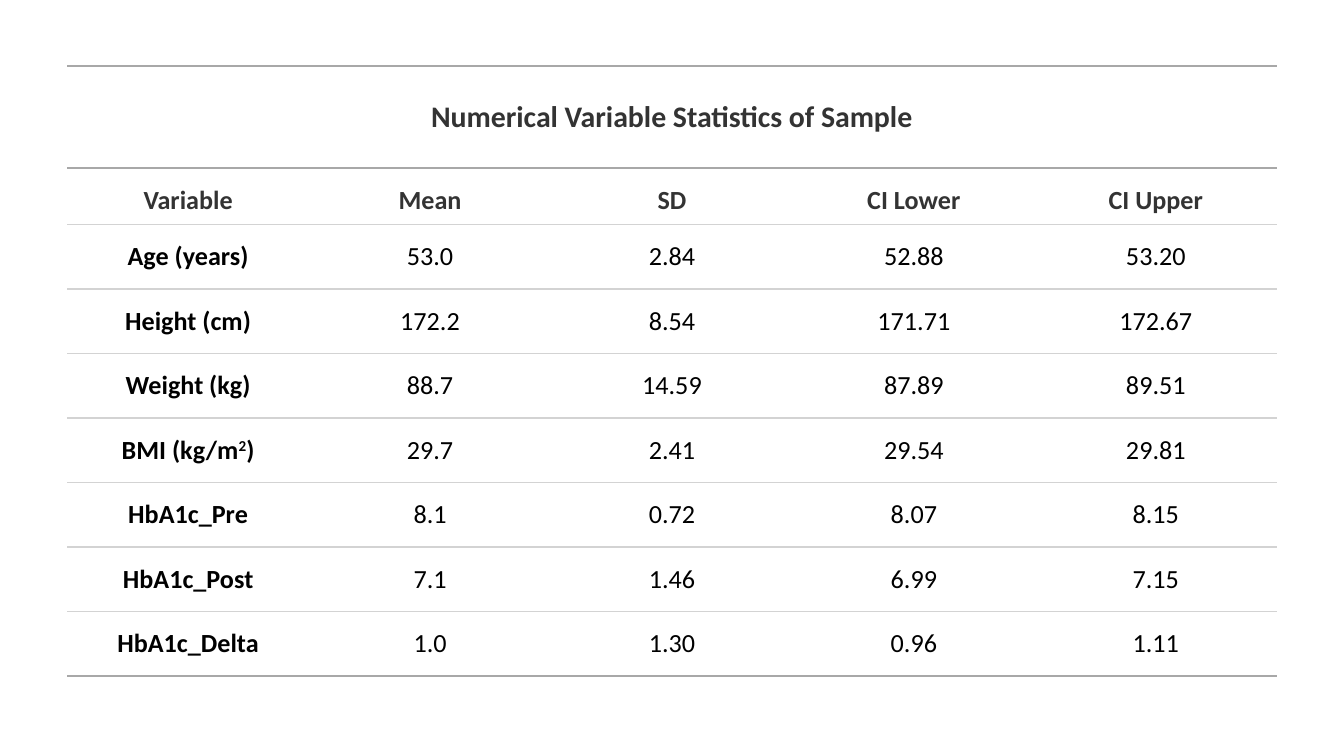
from lxml.etree import SubElement
from pptx import Presentation
from pptx.dml.color import RGBColor
from pptx.enum.text import MSO_ANCHOR, PP_ALIGN
from pptx.oxml.ns import qn
from pptx.util import Inches, Pt

COLORS = {"white": "FFFFFF", "heading": "333333", "body": "000000",
          "rule": "A8A8A8", "hairline": "D3D3D3"}
RULE = ("rule", 1.5)
HAIRLINE = ("hairline", 0.75)
TITLE = "Numerical Variable Statistics of Sample"
# Text between carets is superscript.
ROWS = [
    ["Variable", "Mean", "SD", "CI Lower", "CI Upper"],
    ["Age (years)", "53.0", "2.84", "52.88", "53.20"],
    ["Height (cm)", "172.2", "8.54", "171.71", "172.67"],
    ["Weight (kg)", "88.7", "14.59", "87.89", "89.51"],
    ["BMI (kg/m^2^)", "29.7", "2.41", "29.54", "29.81"],
    ["HbA1c_Pre", "8.1", "0.72", "8.07", "8.15"],
    ["HbA1c_Post", "7.1", "1.46", "6.99", "7.15"],
    ["HbA1c_Delta", "1.0", "1.30", "0.96", "1.11"],
]
ROW_HEIGHTS = [0.76, 0.42] + [0.48] * (len(ROWS) - 1)
COLUMN_WIDTH = 1.8


def write_text(cell, text, size=14, color="body", bold=False,
               anchor=MSO_ANCHOR.MIDDLE, top=0.08, bottom=0.08):
    """Write centred text into a cell and set its margins."""
    cell.vertical_anchor = anchor
    cell.margin_left = cell.margin_right = Inches(0.05)
    cell.margin_top, cell.margin_bottom = Inches(top), Inches(bottom)
    paragraph = cell.text_frame.paragraphs[0]
    paragraph.alignment = PP_ALIGN.CENTER
    for index, part in enumerate(text.split("^")):
        run = paragraph.add_run()
        run.text = part
        run.font.name = "Calibri"
        run.font.size = Pt(size)
        run.font.bold = bold
        run.font.color.rgb = RGBColor.from_string(COLORS[color])
        if index % 2:
            run.font._element.set("baseline", "30000")


def style_cell(cell, top, bottom):
    """Draw the top and bottom borders, hide the sides, and fill white."""
    properties = cell._tc.get_or_add_tcPr()
    for tag, border in (("lnL", None), ("lnR", None), ("lnT", top), ("lnB", bottom)):
        line = SubElement(properties, qn(f"a:{tag}"))
        if border is None:
            line.set("w", "0")
            SubElement(line, qn("a:noFill"))
            continue
        color, width = border
        line.set("w", str(Pt(width)))
        fill = SubElement(line, qn("a:solidFill"))
        SubElement(fill, qn("a:srgbClr")).set("val", COLORS[color])
    cell.fill.solid()
    cell.fill.fore_color.rgb = RGBColor.from_string(COLORS["white"])


presentation = Presentation()
presentation.slide_width = Inches(10)
presentation.slide_height = Inches(10 * 9 / 16)
slide = presentation.slides.add_slide(presentation.slide_layouts[6])

column_count = len(ROWS[0])
shape = slide.shapes.add_table(
    len(ROW_HEIGHTS), column_count, Inches(0.5), Inches(0.49),
    Inches(COLUMN_WIDTH * column_count), Inches(sum(ROW_HEIGHTS)))
table = shape.table
table.first_row = table.horz_banding = False
for column in table.columns:
    column.width = Inches(COLUMN_WIDTH)
for row, height in zip(table.rows, ROW_HEIGHTS):
    row.height = Inches(height)

table.cell(0, 0).merge(table.cell(0, column_count - 1))
write_text(table.cell(0, 0), TITLE, size=16, color="heading", bold=True,
           top=0.04, bottom=0.04)
for cell in table.rows[0].cells:
    style_cell(cell, RULE, RULE)

for row_index, values in enumerate(ROWS, start=1):
    is_header = row_index == 1
    is_last = row_index == len(ROWS)
    for column_index, value in enumerate(values):
        cell = table.cell(row_index, column_index)
        if is_header:
            write_text(cell, value, color="heading", bold=True,
                       anchor=MSO_ANCHOR.BOTTOM, top=0.05, bottom=0.06)
        else:
            write_text(cell, value, bold=column_index == 0)
        style_cell(cell, RULE if is_header else HAIRLINE,
                   RULE if is_last else HAIRLINE)

presentation.save("out.pptx")
